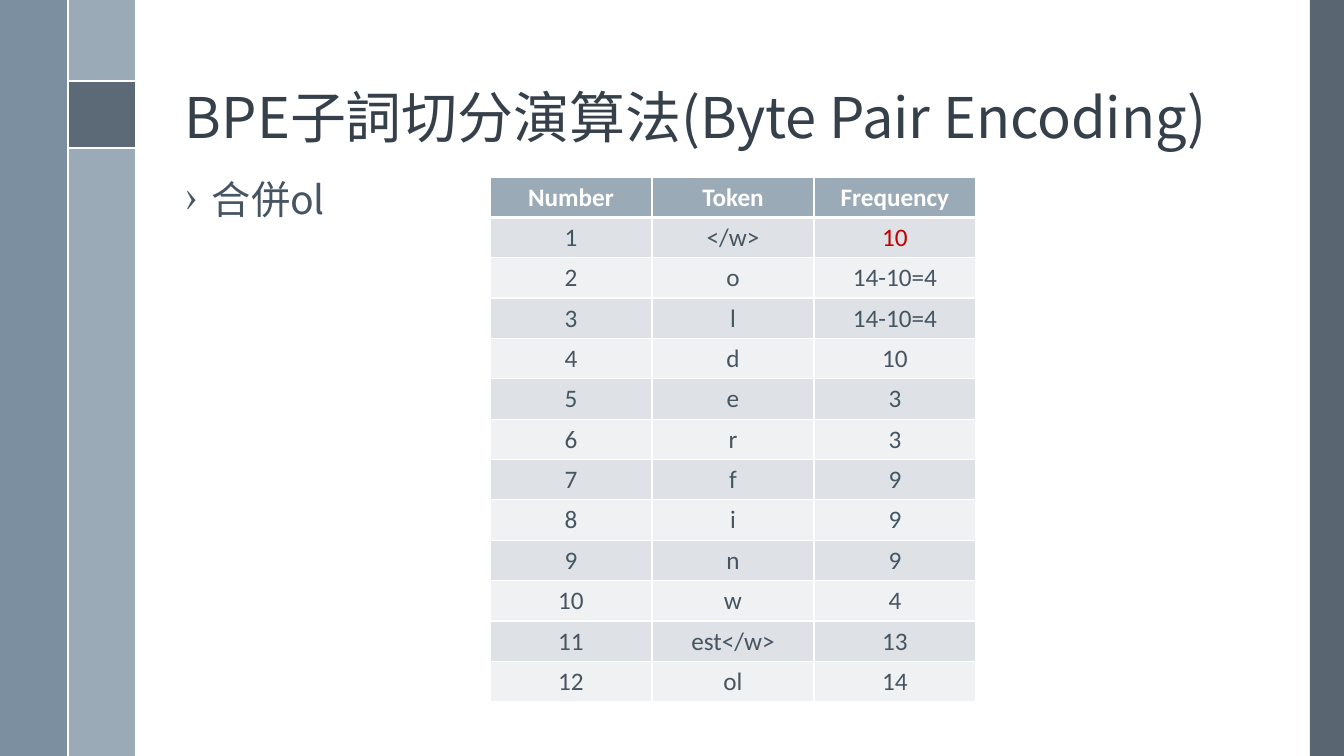
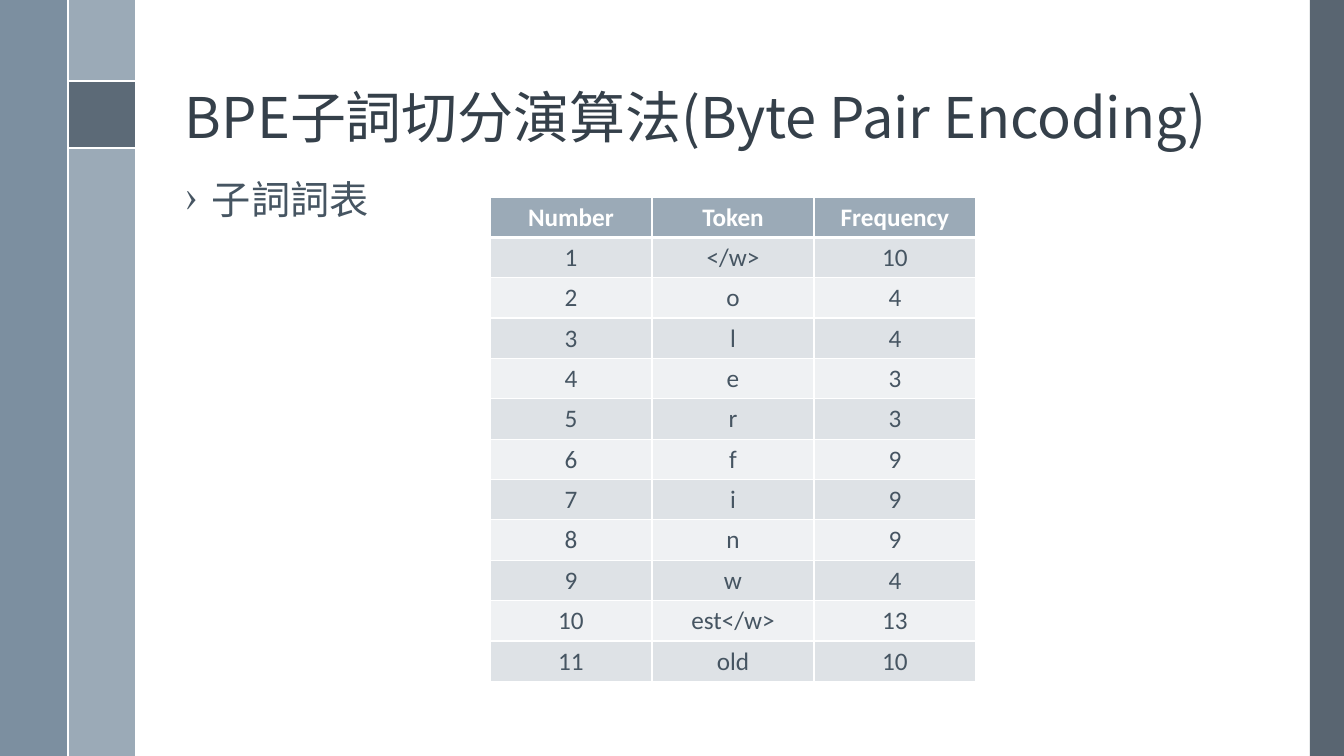
import pptx
import pptx.dml.color
import pptx.enum.shapes
import pptx.enum.text
import pptx.oxml.ns
import pptx.util
from lxml import etree

RGBColor = pptx.dml.color.RGBColor
ALIGN = pptx.enum.text.PP_ALIGN
ANCHOR = pptx.enum.text.MSO_ANCHOR
SHAPE = pptx.enum.shapes.MSO_SHAPE
CONNECTOR = pptx.enum.shapes.MSO_CONNECTOR
qn = pptx.oxml.ns.qn

PX = 914400 / 100.8
WIDTH, HEIGHT = 1344, 756

WHITE = RGBColor(0xFF, 0xFF, 0xFF)
SLATE = RGBColor(0x47, 0x55, 0x62)
STEEL = RGBColor(0x6A, 0x80, 0x93)
MIST = RGBColor(0x9B, 0xAA, 0xB7)
TITLE_INK = RGBColor(0x35, 0x40, 0x4A)
BODY_INK = RGBColor(0x46, 0x55, 0x62)
RED = RGBColor(0xC0, 0x00, 0x00)
ROW_FILLS = [RGBColor(0xDE, 0xE2, 0xE6), RGBColor(0xEF, 0xF1, 0xF3)]

CJK_FONT = "Noto Sans CJK TC"
TABLE_FONT = "Calibri"

# left, top, width, height, colour, opacity in percent
BANDS = [
    (1310, 0, 34, HEIGHT, SLATE, 90),
    (68, 0, 67, HEIGHT, MIST, 100),
    (0, 0, 68, HEIGHT, STEEL, 88),
    (68, 81, 67, 67, SLATE, 75),
]
RULES = [(68, 81, 135, 81), (68, 148, 135, 148), (68, 0, 68, HEIGHT)]

TITLE = "BPE子詞切分演算法(Byte Pair Encoding)"
HEADINGS = ["Number", "Token", "Frequency"]
TABLE_LEFT, COLUMN_WIDTH, ROW_HEIGHT = 490, 162, 40

PAGES = [
    {
        "bullet": "合併ol",
        "table_top": 177,
        "tokens": ["</w>", "o", "l", "d", "e", "r", "f", "i", "n", "w", "est</w>", "ol"],
        "frequencies": ["10", "14-10=4", "14-10=4", "10", "3", "3",
                        "9", "9", "9", "4", "13", "14"],
        "red_cells": {(1, 2)},
    },
    {
        "bullet": "子詞詞表",
        "table_top": 197,
        "tokens": ["</w>", "o", "l", "e", "r", "f", "i", "n", "w", "est</w>", "old"],
        "frequencies": ["10", "4", "4", "3", "3", "9", "9", "9", "4", "13", "10"],
        "red_cells": set(),
    },
]


def px(*lengths):
    """Turn pixel lengths into a list of EMU lengths."""
    return [pptx.util.Emu(round(length * PX)) for length in lengths]


def write_text(frame, text, size, color, font=CJK_FONT, bold=False,
               align=ALIGN.LEFT, line_spacing=None, bullet=None):
    para = frame.paragraphs[0]
    para.alignment = align
    if line_spacing:
        para.line_spacing = line_spacing
    if bullet:
        settings = para._p.get_or_add_pPr()
        indent = px(27)[0]
        settings.set("marL", str(indent))
        settings.set("indent", str(-indent))
        etree.SubElement(settings, qn("a:buChar"), char=bullet)
    span = para.add_run()
    span.text = text
    span.font.size = pptx.util.Pt(size)
    span.font.bold = bold
    span.font.color.rgb = color
    span.font.name = font
    etree.SubElement(span._r.get_or_add_rPr(), qn("a:ea"), typeface=font)


deck = pptx.Presentation()
deck.slide_width, deck.slide_height = px(WIDTH, HEIGHT)

for content in PAGES:
    page = deck.slides.add_slide(deck.slide_layouts[6])

    for left, top, width, height, color, opacity in BANDS:
        band = page.shapes.add_shape(SHAPE.RECTANGLE, *px(left, top, width, height))
        band.shadow.inherit = False
        band.line.fill.background()
        band.fill.solid()
        band.fill.fore_color.rgb = color
        if opacity < 100:
            fill_color = band._element.spPr.find(qn("a:solidFill"))[0]
            etree.SubElement(fill_color, qn("a:alpha"), val=str(opacity * 1000))

    for ends in RULES:
        rule = page.shapes.add_connector(CONNECTOR.STRAIGHT, *px(*ends))
        rule.line.color.rgb = WHITE
        rule.line.width = pptx.util.Pt(1.5)
        etree.SubElement(rule._element.spPr, qn("a:effectLst"))

    title_box = page.shapes.add_textbox(*px(175, 19, 1079, 137))
    title_box.text_frame.word_wrap = True
    title_box.text_frame.vertical_anchor = ANCHOR.BOTTOM
    write_text(title_box.text_frame, TITLE, 40, TITLE_INK, line_spacing=0.9)

    body_box = page.shapes.add_textbox(*px(175, 176, 1079, 504))
    body_box.text_frame.word_wrap = True
    write_text(body_box.text_frame, content["bullet"], 28, BODY_INK,
               line_spacing=0.9, bullet="›")

    numbers = [str(n) for n in range(1, len(content["tokens"]) + 1)]
    rows = [HEADINGS, *zip(numbers, content["tokens"], content["frequencies"])]
    table = page.shapes.add_table(
        len(rows), len(HEADINGS),
        *px(TABLE_LEFT, content["table_top"],
            COLUMN_WIDTH * len(HEADINGS), ROW_HEIGHT * len(rows))).table
    for column in table.columns:
        column.width = px(COLUMN_WIDTH)[0]

    for r, row in enumerate(rows):
        table.rows[r].height = px(ROW_HEIGHT)[0]
        is_header = r == 0
        for c, text in enumerate(row):
            cell = table.cell(r, c)
            borders = {"L": 1, "R": 1, "T": 3 if r == 1 else 1, "B": 3 if is_header else 1}
            for side, points in borders.items():
                border = etree.SubElement(cell._tc.get_or_add_tcPr(), qn(f"a:ln{side}"),
                                          w=str(pptx.util.Pt(points)))
                border_fill = etree.SubElement(border, qn("a:solidFill"))
                etree.SubElement(border_fill, qn("a:srgbClr"), val=str(WHITE))
            cell.fill.solid()
            cell.fill.fore_color.rgb = MIST if is_header else ROW_FILLS[(r - 1) % 2]
            ink = WHITE if is_header else RED if (r, c) in content["red_cells"] else BODY_INK
            write_text(cell.text_frame, text, 18, ink, font=TABLE_FONT,
                       bold=is_header, align=ALIGN.CENTER)

deck.save("out.pptx")
